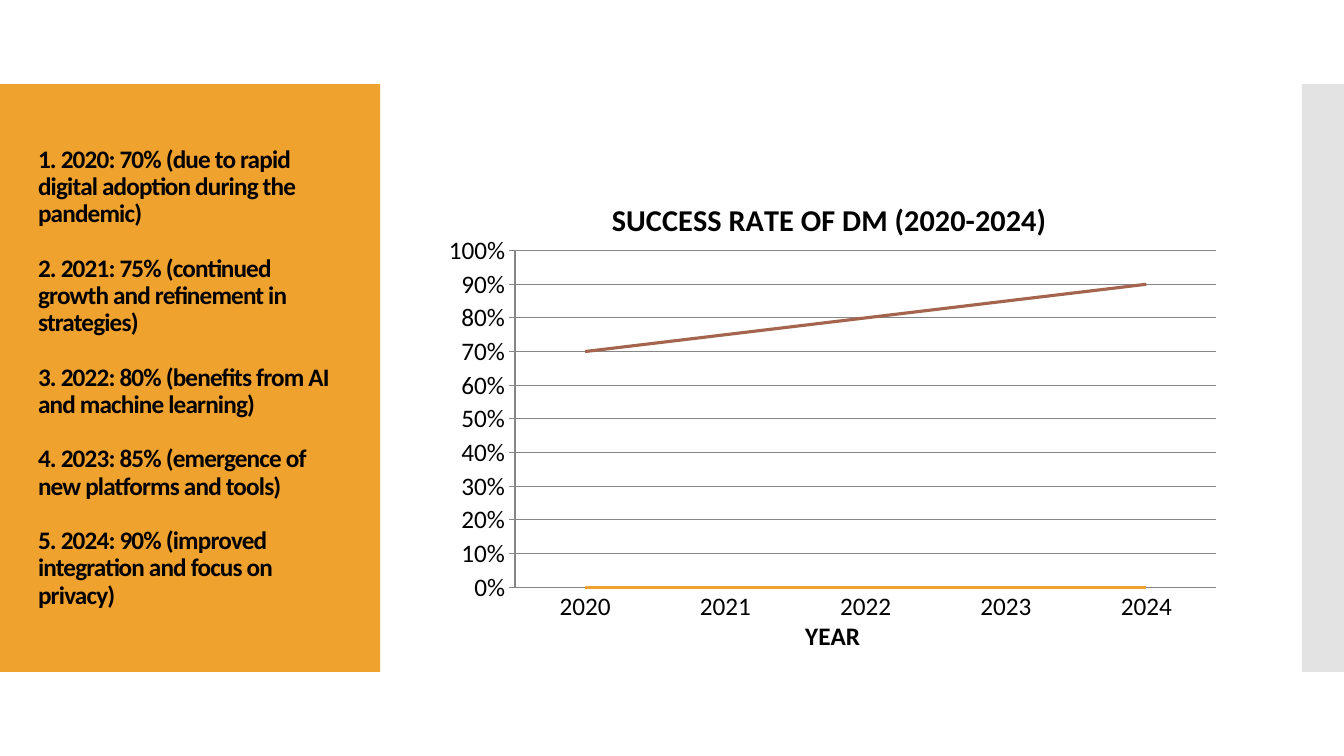
from pptx import Presentation
from pptx.chart import data as chart_data
from pptx.dml import color
from pptx.enum import chart as charts, shapes, text
from pptx.oxml import xmlchemy as xc
from pptx.util import Pt

COLORS = {"orange": "F0A22E", "grey": "C8C8C8", "brown": "A5644E",
          "black": "000000", "grid": "868686"}
FONT = "Calibri"
YEARS = ["2020", "2021", "2022", "2023", "2024"]
RATES = [0.7, 0.75, 0.8, 0.85, 0.9]
REASONS = ["due to rapid digital adoption during the pandemic",
           "continued growth and refinement in strategies",
           "benefits from AI and machine learning",
           "emergence of new platforms and tools",
           "improved integration and focus on privacy"]


def rgb(name):
    return color.RGBColor.from_string(COLORS[name])


def style_font(font, size=18, bold=False):
    font.name, font.size, font.bold = FONT, Pt(size), bold
    font.color.rgb = rgb("black")


def write(frame, content, size=18, bold=True, tracking=0, line_spacing=None,
          space_before=0, align=None):
    lines = content.split("\n")
    for number, line in enumerate(lines):
        paragraph = frame.add_paragraph() if number else frame.paragraphs[0]
        paragraph.alignment = align
        if line_spacing:
            paragraph.line_spacing = line_spacing
        if number:
            paragraph.space_before = Pt(space_before)
        run = paragraph.add_run()
        run.text = line
        style_font(run.font, size, bold)
        if tracking:
            run.font._element.set("spc", str(round(tracking * 100)))


def add_panel(slide, box, fill, opacity=100):
    panel = slide.shapes.add_shape(shapes.MSO_SHAPE.RECTANGLE, *map(Pt, box))
    panel.shadow.inherit = False
    panel.fill.solid()
    panel.fill.fore_color.rgb = rgb(fill)
    panel.line.fill.background()
    if opacity < 100:
        alpha = xc.OxmlElement("a:alpha")
        alpha.set("val", str(opacity * 1000))
        panel.element.spPr.find(".//" + xc.qn("a:srgbClr")).append(alpha)


def add_reasons(slide, box):
    left, top, width, height = box
    add_panel(slide, box, "orange")
    reasons = slide.shapes.title
    slide.shapes.element.append(reasons.element)
    reasons.left, reasons.top = Pt(left + 20), Pt(top + 29)
    reasons.width, reasons.height = Pt(width - 39.5), Pt(height - 58)
    frame = reasons.text_frame
    frame.word_wrap = True
    frame.auto_size = text.MSO_AUTO_SIZE.NONE
    frame.vertical_anchor = text.MSO_ANCHOR.MIDDLE
    lines = [f"{number}. {year}: {rate:.0%} ({reason})" for number, (year, rate, reason)
             in enumerate(zip(YEARS, RATES, REASONS), 1)]
    write(frame, "\n".join(lines), tracking=-0.6, line_spacing=0.9,
          space_before=19.5, align=text.PP_ALIGN.LEFT)


def fix_plot_area(chart, x, y, w, h):
    plot_area = chart.element.find(".//" + xc.qn("c:plotArea"))
    for old in plot_area.findall(xc.qn("c:layout")):
        plot_area.remove(old)
    layout, manual = xc.OxmlElement("c:layout"), xc.OxmlElement("c:manualLayout")
    settings = [("layoutTarget", "inner"), ("xMode", "edge"), ("yMode", "edge"),
                ("x", x), ("y", y), ("w", w), ("h", h)]
    for tag, value in settings:
        setting = xc.OxmlElement("c:" + tag)
        setting.set("val", str(value))
        manual.append(setting)
    layout.append(manual)
    plot_area.insert(0, layout)


def add_success_chart(slide, box):
    rates = chart_data.CategoryChartData(number_format="0%")
    rates.categories = YEARS
    rates.add_series("Series 1", [0] * len(YEARS))
    rates.add_series("Series 2", RATES)
    chart = slide.shapes.add_chart(charts.XL_CHART_TYPE.LINE, *map(Pt, box), rates).chart
    style_font(chart.font)
    chart.has_legend = False
    chart.has_title = True
    write(chart.chart_title.text_frame, "SUCCESS RATE OF DM (2020-2024)", size=21.6)
    chart.chart_title.include_in_layout = False

    years, percent = chart.category_axis, chart.value_axis
    years.has_title = True
    write(years.axis_title.text_frame, "YEAR")
    years.major_tick_mark = charts.XL_TICK_MARK.NONE
    percent.major_tick_mark = charts.XL_TICK_MARK.OUTSIDE
    percent.minimum_scale, percent.maximum_scale, percent.major_unit = 0, 1, 0.1
    percent.tick_labels.number_format = "0%"
    percent.tick_labels.number_format_is_linked = False
    percent.has_major_gridlines = True
    for rule in (years.format.line, percent.format.line, percent.major_gridlines.format.line):
        rule.color.rgb = rgb("grid")
        rule.width = Pt(0.75)

    plot = chart.plots[0]
    plot.vary_by_categories = False
    for series, tint in zip(plot.series, ("orange", "brown")):
        series.smooth = False
        series.marker.style = charts.XL_MARKER_STYLE.NONE
        series.format.line.color.rgb = rgb(tint)
        series.format.line.width = Pt(2.25)
    fix_plot_area(chart, 0.11, 0.15, 0.87, 0.7)


def main():
    deck = Presentation()
    deck.slide_width, deck.slide_height = Pt(960), Pt(540)
    slide = deck.slides.add_slide(deck.slide_layouts[5])
    add_panel(slide, (930, 60, 30, 420), "grey", opacity=50)
    add_reasons(slide, (0, 60, 271.5, 420))
    add_success_chart(slide, (304.5, 127.5, 576, 343.5))
    deck.save("out.pptx")


if __name__ == "__main__":
    main()
